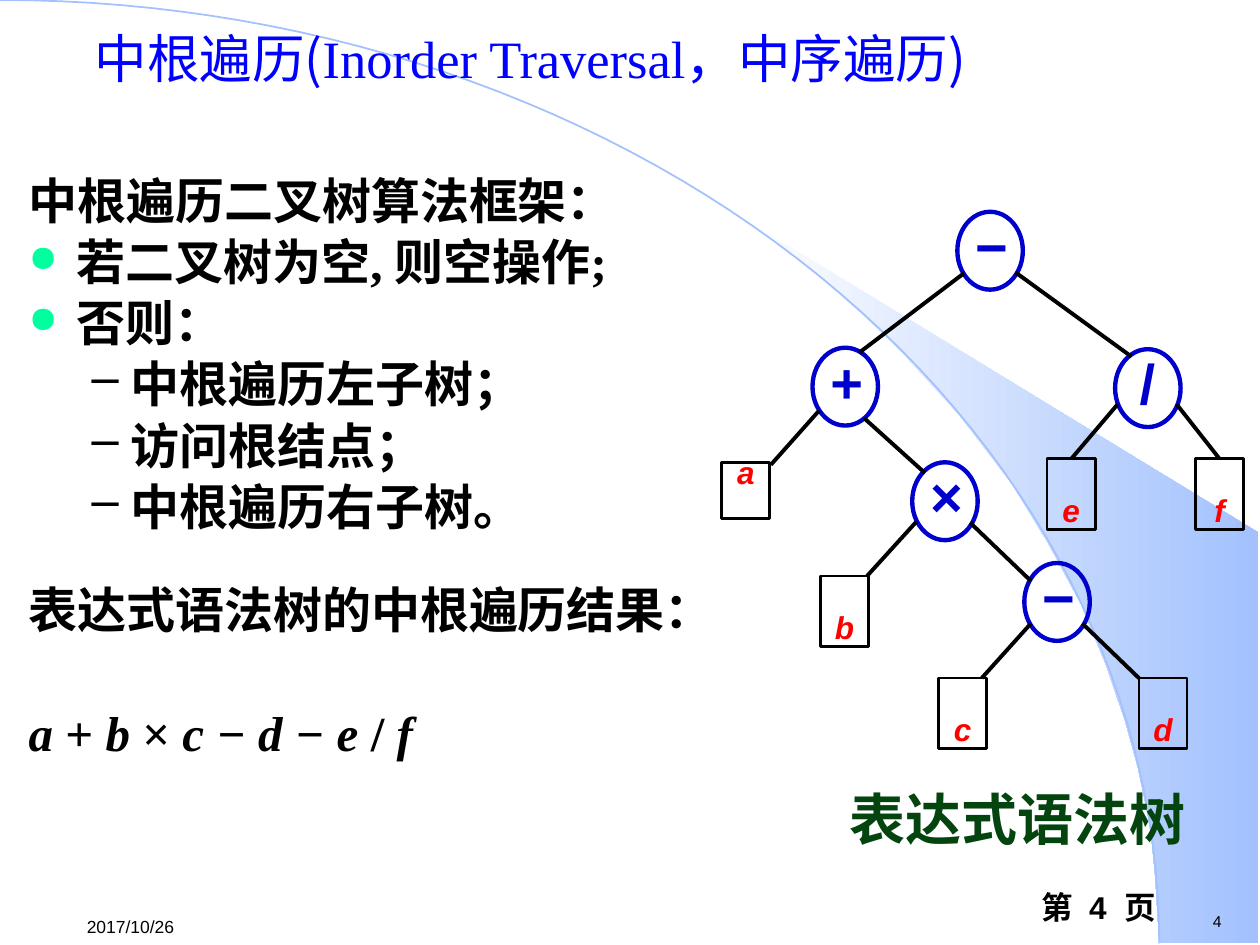
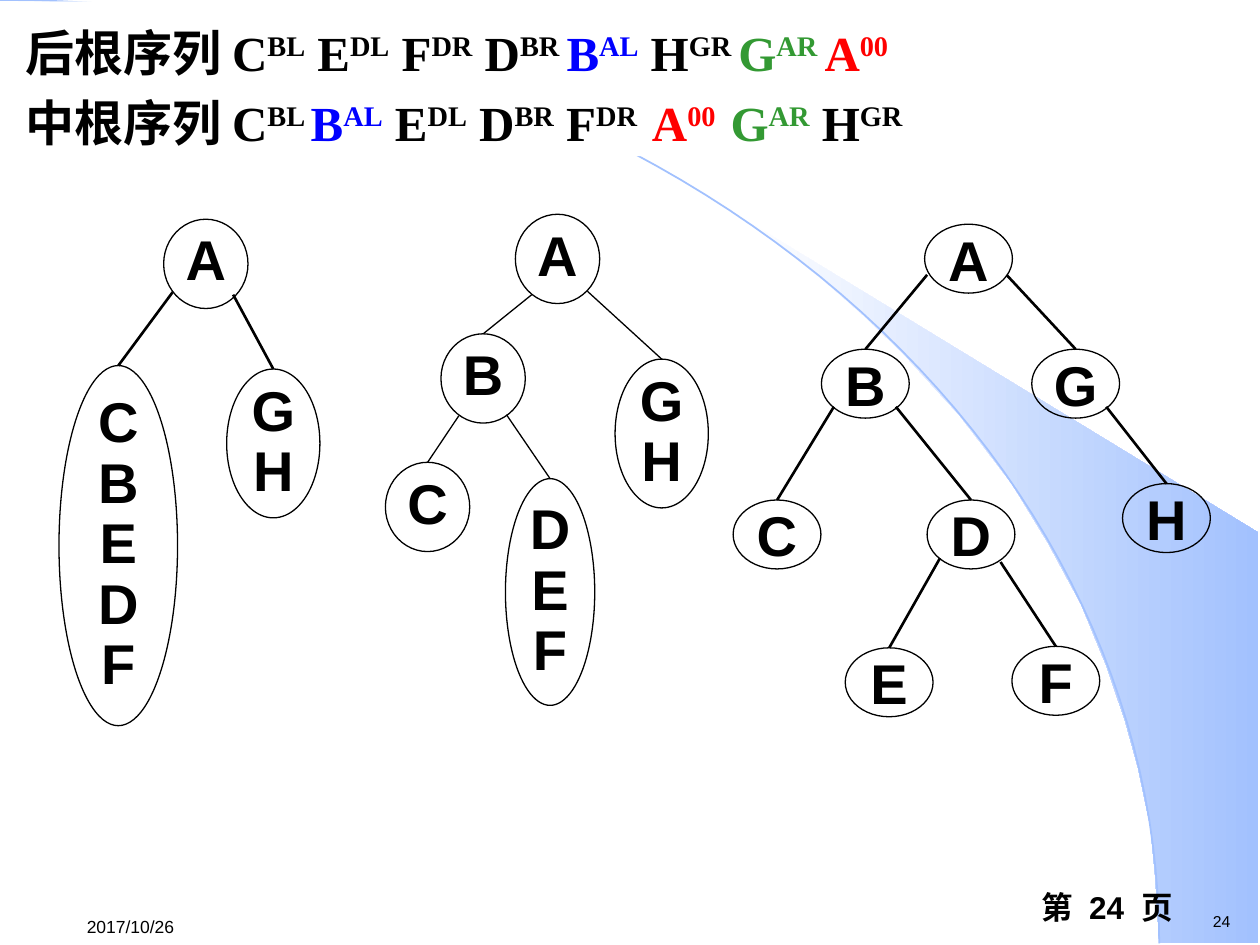
"""Builds two slides on inorder traversal and rebuilding a binary tree from its sequences."""
import math
from lxml import etree
from pptx import Presentation
from pptx import util as u
from pptx.dml.color import RGBColor
from pptx.enum import shapes, text
from pptx.oxml.ns import qn

COLORS = {"black": "000000", "white": "FFFFFF", "sky": "A2C1FE", "title": "0000FF",
          "node": "0000CC", "red": "FF0000", "green": "339933", "caption": "04440F",
          "bullet": "00FF9F"}
SERIF, SANS, CJK = "Times New Roman", "Arial", "Noto Sans CJK SC"
RECT, OVAL = shapes.MSO_SHAPE.RECTANGLE, shapes.MSO_SHAPE.OVAL
TOP, MIDDLE = text.MSO_ANCHOR.TOP, text.MSO_ANCHOR.MIDDLE
LEFT, CENTER = text.PP_ALIGN.LEFT, text.PP_ALIGN.CENTER


def put(s, box, paragraphs=(), kind=None, fill=None, line=None, width=1, inset=(0, 0, 0, 0),
        anchor=TOP, wrap=True, align=LEFT, spacing=None, **base):
    """Add a text box or shape; a paragraph is a string or a list of (text, format) runs."""
    box = [u.Cm(v) for v in box]
    sp = s.shapes.add_shape(kind, *box) if kind else s.shapes.add_textbox(*box)
    if kind:
        sp.shadow.inherit = False
        sp.fill.background()
        sp.line.fill.background()
    if fill:
        sp.fill.solid()
        sp.fill.fore_color.rgb = RGBColor.from_string(COLORS[fill])
    if line:
        sp.line.color.rgb = RGBColor.from_string(COLORS[line])
        sp.line.width = u.Pt(width)
    tf = sp.text_frame
    tf.word_wrap, tf.vertical_anchor = wrap, anchor
    tf.margin_left, tf.margin_top, tf.margin_right, tf.margin_bottom = [u.Cm(v) for v in inset]
    for i, runs in enumerate(paragraphs):
        p = tf.paragraphs[0] if i == 0 else tf.add_paragraph()
        p.alignment = align
        if spacing:
            p.line_spacing = spacing
        for words, extra in [(runs, {})] if isinstance(runs, str) else runs:
            if words == "\n":
                p.add_line_break()
                continue
            f = {"size": 18, "font": SANS, "color": "black", **base, **extra}
            r = p.add_run()
            r.text = words
            r.font.size, r.font.name = u.Pt(f["size"]), f["font"]
            r.font.bold, r.font.italic = f.get("bold", False), f.get("italic", False)
            r.font.color.rgb = RGBColor.from_string(COLORS[f["color"]])
            rpr = r.font._element
            etree.SubElement(rpr, qn("a:ea")).set("typeface", CJK)
            if f.get("sup"):
                rpr.set("baseline", "30000")
            if f.get("gap"):
                rpr.set("spc", str(int(f["gap"] * 100)))
    return sp


def link(s, x1, y1, x2, y2, width, child=None):
    """Draw a tree edge, joined to the top of the child when one is given."""
    c = s.shapes.add_connector(shapes.MSO_CONNECTOR.STRAIGHT, *[u.Cm(v) for v in (x1, y1, x2, y2)])
    c.line.color.rgb = RGBColor.from_string(COLORS["black"])
    c.line.width = u.Pt(width)
    etree.SubElement(c._element.spPr, qn("a:effectLst"))
    if child is not None:
        c.end_connect(child, 0)


prs = Presentation()
prs.slide_width, prs.slide_height = u.Cm(25.4), u.Cm(19.05)

band = [(23.37, 19), (25.37, 19.02), (25.37, 10.74), (14.96, 4.39), (15.85, 5.05),
        (16.59, 5.64), (17.4, 6.35), (18.19, 7.11), (19.35, 8.38), (20.4, 9.75),
        (21.13, 10.95), (21.79, 12.17), (22.3, 13.41), (22.68, 14.53), (22.94, 15.47),
        (23.19, 16.66), (23.29, 17.68)]
turns = [math.pi / 2 * i / 60 for i in range(61)]
arc = [(23.37 * math.sin(t), 19.02 * (1 - math.cos(t))) for t in turns]

for number in ("4", "24"):
    s = prs.slides.add_slide(prs.slide_layouts[6])
    for outline, closed in ((band, True), (arc, False)):
        pts = [(u.Cm(x), u.Cm(y)) for x, y in outline]
        fb = s.shapes.build_freeform(*pts[0])
        fb.add_line_segments(pts[1:], close=closed)
        sp = fb.convert_to_shape()
        sp.shadow.inherit = False
        if closed:
            sp.fill.gradient()
            sp.fill.gradient_angle = 0
            for stop, name in zip(sp.fill.gradient_stops, ("white", "sky")):
                stop.color.rgb = RGBColor.from_string(COLORS[name])
            sp.line.fill.background()
        else:
            sp.fill.background()
            sp.line.color.rgb = RGBColor.from_string(COLORS["sky"])
            sp.line.width = u.Pt(1)
    edge = (0.25, 0.13, 0.25, 0.13)
    put(s, (24.2, 18.26, 0.9, 0.64), [number], inset=edge, size=9)
    put(s, (1.5, 18.29, 2.59, 0.76), ["2017/10/26"], inset=edge, anchor=MIDDLE, size=10)
    wide = (" ", {"gap": 5})
    put(s, (20.75, 17.78, 4.65, 1.27), [[("第", {}), wide, (number, {}), wide, ("页", {})]],
        inset=edge, bold=True)

s = prs.slides[0]
formula = [(part + " ", {"italic": part not in "+×/"}) for part in ("a", "+", "b", "×", "c − d − e", "/")]
body = put(s, (0.43, 3.25, 13.77, 12.19),
           ["中根遍历二叉树算法框架：", "若二叉树为空, 则空操作;", "否则：",
            "中根遍历左子树；", "访问根结点；", "中根遍历右子树。",
            [("表达式语法树的中根遍历结果：", {}), ("\n", {}), *formula, ("f", {"italic": True})]],
           inset=(0.15, 0.13, 0, 0.13), spacing=u.Pt(35), size=28, font=SERIF, bold=True)
paragraphs = body.text_frame.paragraphs
paragraphs[-1].space_before = u.Pt(24)
for i, p in enumerate(paragraphs[1:6]):
    p.level = int(i > 1)
    margin, hang, color, mark = ((2.06, 0.79, "black", "–") if p.level else
                                 (0.97, 0.97, "bullet", "●"))
    ppr = p._p.get_or_add_pPr()
    ppr.set("marL", str(u.Cm(margin)))
    ppr.set("indent", str(-u.Cm(hang)))
    tint = etree.SubElement(ppr, qn("a:buClr"))
    etree.SubElement(tint, qn("a:srgbClr")).set("val", COLORS[color])
    if not p.level:
        etree.SubElement(ppr, qn("a:buSzPct")).set("val", "75000")
    etree.SubElement(ppr, qn("a:buChar")).set("char", mark)

put(s, (0.99, 0.53, 19.41, 1.5),
    [[("中根遍历(", {"font": CJK}), ("Inorder Traversal，", {}), ("中序遍历)", {"font": CJK})]],
    align=CENTER, size=30, font=SERIF, color="title")
put(s, (16.87, 16.03, 7.29, 1.17), ["表达式语法树"], align=CENTER, spacing=0.85,
    size=32, color="caption", bold=True)

for sign, x, y in (("−", 19.3, 4.27), ("+", 16.38, 7.01), ("/", 22.48, 7.04),
                   ("×", 18.39, 9.32), ("−", 20.65, 11.35)):
    put(s, (x, y, 1.32, 1.57), kind=OVAL, line="node", width=2.5)
    put(s, (x + 0.36, y + 0.36, 0.58, 0.94), [sign], wrap=False, align=CENTER, spacing=0.7,
        size=32, color="node", bold=True)

leaves = {}
for name, x, y in (("a", 14.55, 9.32), ("b", 16.54, 11.61), ("c", 18.92, 13.67),
                   ("d", 22.96, 13.67), ("e", 21.11, 9.25), ("f", 24.1, 9.25)):
    height, spacing = (1.14, 0.75) if name == "a" else (1.42, u.Pt(40))
    leaves[name] = put(s, (x, y, 0.97, height), [name], kind=RECT, line="black", width=1.5,
                       align=CENTER, spacing=spacing, color="red", bold=True, italic=True)

for x1, y1, x2, y2, leaf in (
        (19.43, 5.51, 17.32, 7.11, None), (20.47, 5.49, 22.81, 7.19, None),
        (17.42, 8.43, 18.64, 9.53, None), (19.56, 10.54, 20.78, 11.71, None),
        (16.51, 8.28, 15.54, 9.37, None), (18.47, 10.52, 17.48, 11.61, None),
        (20.78, 12.57, 19.79, 13.67, None), (21.82, 12.57, 22.96, 13.67, None),
        (22.53, 8.15, 21.6, 9.25, "e"), (23.72, 8.15, 24.59, 9.25, "f")):
    link(s, x1, y1, x2, y2, 2.25, leaves.get(leaf))

s = prs.slides[1]
marked = {"A": "red", "B": "title", "G": "green"}
sequences = []
for title, items, spaced in (("后根序列 ", "CBL EDL FDR DBR BAL HGR GAR A00", ""),
                             ("中根序列 ", "CBL BAL EDL DBR FDR A00 GAR HGR", "AG")):
    runs = [(title, {})]
    for i, item in enumerate(items.split()):
        letter, code = item[0], item[1:]
        color = marked.get(letter, "black")
        if i:
            runs.append((" ", {"sup": letter in marked, "gap": 4.5 if letter in spaced else 0}))
        runs += [(letter, {"color": color}), (code, {"color": color, "sup": True})]
    sequences.append(runs)
put(s, (0, 0.03, 25.4, 3.12), sequences, kind=RECT, fill="white", inset=(0.51, 0.2, 0, 0),
    spacing=u.Pt(40), size=28, font=SERIF, bold=True)

round_node, flat_node, pair = (1.7, 1.8), (1.77, 1.39), (1.88, 3)
trees = [
    (1.5, 0.85, [("A", 3.3, 4.42, round_node, None),
                 ("CBEDF", 1.19, 7.37, (2.39, 7.26), (3.48, 5.89)),
                 ("GH", 4.57, 7.44, pair, (4.7, 5.94))]),
    (0.75, 0.85, [("A", 10.39, 4.32, round_node, None),
                  ("B", 8.89, 6.73, round_node, (10.72, 5.94)),
                  ("C", 7.77, 9.32, round_node, (9.25, 8.38)),
                  ("DEF", 10.19, 9.65, (1.8, 4.57), (10.21, 8.36)),
                  ("GH", 12.4, 7.24, pair, (11.84, 5.87))]),
    (1.5, 1, [("A", 18.64, 4.52, flat_node, None),
              ("B", 16.56, 7.04, flat_node, (18.69, 5.54)),
              ("G", 20.8, 7.04, flat_node, (20.29, 5.54)),
              ("C", 14.78, 10.08, flat_node, (16.81, 8.2)),
              ("D", 18.69, 10.08, flat_node, (18.06, 8.2)),
              ("H", 22.63, 9.75, flat_node, (22.3, 8.2)),
              ("E", 17.04, 13.06, flat_node, (18.95, 11.25)),
              ("F", 20.4, 13.03, flat_node, (20.17, 11.33))])]
for width, spacing, nodes in trees:
    for letters, x, y, (w, h), start in nodes:
        single = len(letters) == 1
        style = dict(anchor=MIDDLE, wrap=False, align=CENTER, size=32, bold=True)
        node = put(s, (x, y, w, h), letters if single else (), kind=OVAL, line="black",
                   width=0.75, inset=edge, spacing=spacing, **style)
        if not single:
            put(s, (x, y, w, h), letters, spacing=0.9, **style)
        if start:
            link(s, *start, x + w / 2, y, width, node)

prs.save("out.pptx")
